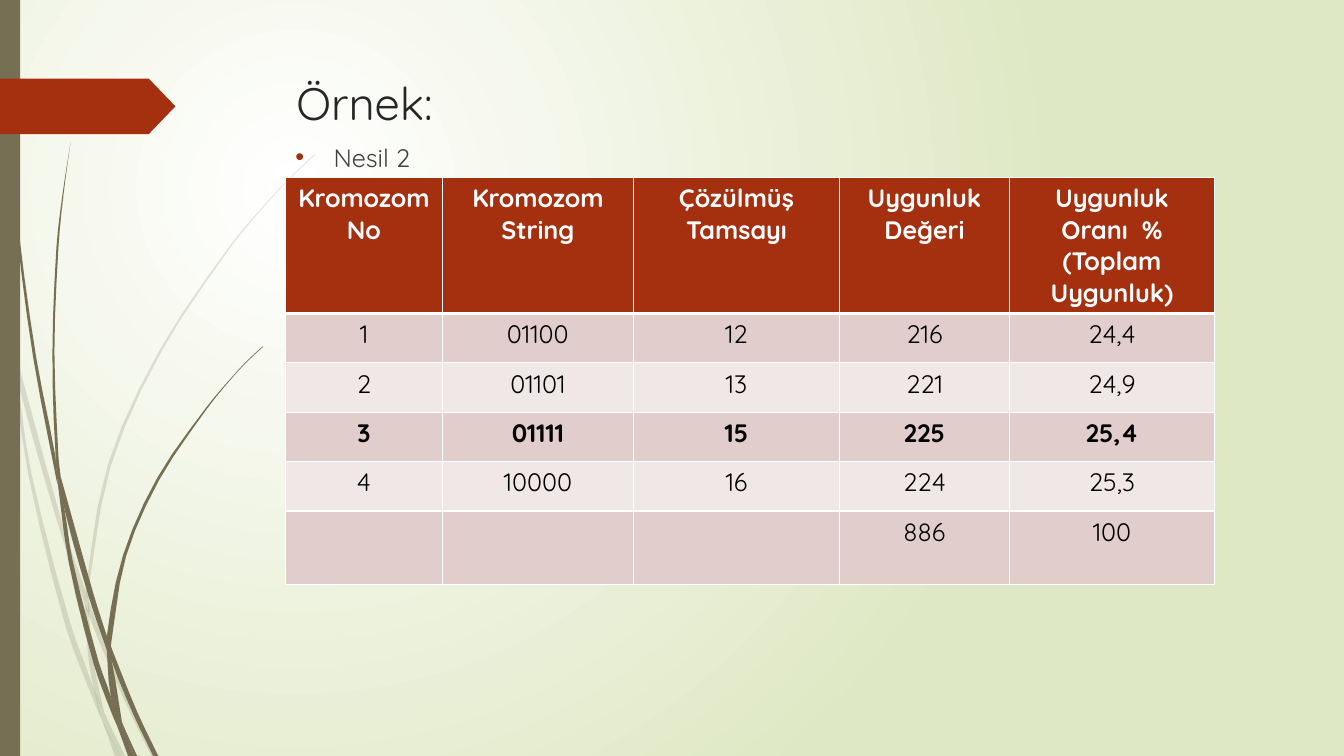
from lxml import etree
from pptx import Presentation
from pptx.dml.color import RGBColor
from pptx.enum.shapes import MSO_SHAPE
from pptx.enum.text import MSO_ANCHOR, PP_ALIGN
from pptx.oxml.ns import qn
from pptx.util import Inches, Pt

RECT, TAG = MSO_SHAPE.RECTANGLE, MSO_SHAPE.PENTAGON
MIDDLE, TOP = MSO_ANCHOR.MIDDLE, MSO_ANCHOR.TOP
LEFT, CENTER, JUSTIFY = PP_ALIGN.LEFT, PP_ALIGN.CENTER, PP_ALIGN.JUSTIFY

TITLE = "Örnek:"
BULLET = "Nesil 2"
HEADER = ["Kromozom No", "Kromozom String", "Çözülmüş Tamsayı",
          "Uygunluk Değeri", "Uygunluk Oranı  % (Toplam Uygunluk)"]
ROWS = [
    ["1", "01100", "12", "216", "24,4"],
    ["2", "01101", "13", "221", "24,9"],
    ["3", "01111", "15", "225", "25,4"],
    ["4", "10000", "16", "224", "25,3"],
    ["", "", "", "886", "100"],
]
BEST_ROW = 3
COL_WIDTHS = [1.56, 1.89, 2.05, 1.68, 2.04]
ROW_HEIGHTS = [1.35] + [0.49] * 4 + [0.73]

# Pieces of grass: (left edge, right edge), each listed from top to bottom
PALE_GRASS = [
    ([(0, 2.99), (0.1, 3.44), (0.11, 3.5)], [(0, 2.82), (0.09, 3.22), (0.11, 3.5)]),
    ([(0.14, 3.45), (0.17, 3.76), (0.58, 5.22), (0.84, 5.99)],
     [(0.14, 3.45), (0.62, 5.2), (0.85, 5.86)]),
    ([(0.88, 5.96), (0.88, 6.1), (1.23, 6.94), (1.5, 7.5)],
     [(0.88, 5.96), (0.92, 6.07), (1.27, 6.92), (1.55, 7.5)]),
    ([(1.05, 7.11), (1.19, 7.5)], [(1.05, 7.11), (1.24, 7.5)]),
    ([(0.11, 3.5), (0.28, 4.7), (0.65, 6.21), (0.92, 6.93), (1.01, 7.14)],
     [(0.11, 3.5), (0.17, 3.76), (0.31, 4.69), (0.7, 6.19), (0.93, 6.83), (1.01, 7.14)]),
    ([(0.84, 5.99), (0.87, 6.46), (0.93, 6.83), (1.05, 7.11)],
     [(0.84, 5.99), (0.88, 6.08), (0.91, 6.46), (1.03, 7.06), (1.05, 7.11)]),
    ([(3.12, 1.53), (2.89, 1.75), (2.68, 1.97), (2.28, 2.44), (1.58, 3.48), (1.07, 4.61),
      (0.85, 5.86), (0.88, 5.96)],
     [(3.12, 1.54), (2.9, 1.75), (2.68, 1.98), (2.29, 2.45), (1.6, 3.49), (1.1, 4.62),
      (0.88, 5.84), (0.88, 5.96)]),
    ([(1.01, 7.14), (1.14, 7.5)], [(1.01, 7.14), (1.19, 7.5)]),
    ([(0.85, 5.86), (0.84, 5.99), (0.88, 6.1)], [(0.85, 5.86), (0.88, 5.96), (0.88, 6.1)]),
    ([(0.93, 6.83), (1.01, 7.14), (1.19, 7.5)], [(0.93, 6.83), (1.05, 7.11), (1.19, 7.5)]),
]
DARK_GRASS = [
    ([(0.03, 0), (0.04, 0.48), (0.07, 1.1), (0.17, 2.33), (0.33, 3.55), (0.57, 4.81)],
     [(0.04, 0), (0.05, 0.48), (0.08, 1.09), (0.19, 2.32), (0.36, 3.55), (0.55, 4.53),
      (0.57, 4.81)]),
    ([(0.6, 4.72), (0.64, 5.05), (0.88, 5.92), (1.06, 6.45)],
     [(0.6, 4.72), (0.93, 5.9), (1.06, 6.31)]),
    ([(1.1, 6.41), (1.11, 6.56), (1.32, 7.08), (1.52, 7.5)],
     [(1.1, 6.41), (1.13, 6.49), (1.36, 7.06), (1.57, 7.5)]),
    ([(0.57, 4.77), (0.68, 5.57), (0.93, 6.59), (1.11, 7.08), (1.17, 7.22)],
     [(0.57, 4.77), (0.64, 5.05), (0.72, 5.56), (0.98, 6.57), (1.1, 6.91), (1.17, 7.22)]),
    ([(0.7, 1.41), (0.62, 1.93), (0.56, 2.45), (0.52, 3.49), (0.55, 4.49), (0.6, 4.72)],
     [(0.7, 1.41), (0.63, 1.93), (0.58, 2.45), (0.54, 3.49), (0.58, 4.53), (0.6, 4.72)]),
    ([(1.22, 7.19), (1.33, 7.5)], [(1.22, 7.19), (1.36, 7.5)]),
    ([(0.55, 4.49), (0.57, 4.77), (0.64, 5.05)], [(0.55, 4.49), (0.6, 4.72), (0.64, 5.05)]),
    ([(2.6, 3.44), (2.45, 3.58), (2.31, 3.73), (2.04, 4.05), (1.56, 4.74), (1.22, 5.51),
      (1.06, 6.31), (1.1, 6.41)],
     [(2.61, 3.44), (2.45, 3.59), (2.31, 3.74), (2.05, 4.06), (1.58, 4.76), (1.25, 5.52),
      (1.11, 6.33), (1.1, 6.41)]),
    ([(1.17, 7.22), (1.27, 7.5)], [(1.17, 7.22), (1.31, 7.5)]),
    ([(1.06, 6.45), (1.1, 6.91), (1.22, 7.19)],
     [(1.06, 6.45), (1.11, 6.56), (1.21, 7.16), (1.22, 7.19)]),
    ([(1.06, 6.31), (1.06, 6.45), (1.11, 6.56)], [(1.06, 6.31), (1.1, 6.41), (1.11, 6.56)]),
    ([(1.1, 6.91), (1.17, 7.22), (1.3, 7.5)], [(1.1, 6.91), (1.22, 7.19), (1.33, 7.5)]),
]

THEME = {
    "font": "Quicksand", "title_pt": 32.4, "body_pt": 18,
    "title": "262626", "body": "404040", "cell": "000000", "white": "FFFFFF",
    "accent": "A53010", "olive": "766F54", "glow": "DFE8C4",
    "bands": ["E1CDCC", "F0E8E7"],
}


def rgb(code):
    return RGBColor.from_string(code)


def sub(parent, tag, **attrs):
    return etree.SubElement(parent, qn(tag), attrs)


def paint(sp, color, alpha=None):
    sp.shadow.inherit = False
    sp.fill.solid()
    sp.fill.fore_color.rgb = rgb(color)
    sp.line.fill.background()
    if alpha:
        clr = sp._element.spPr.find(qn("a:solidFill")).find(qn("a:srgbClr"))
        sub(clr, "a:alpha", val=str(alpha * 1000))


def smooth(points, steps=3):
    """Cubic Hermite curve through the points, with x as a function of y."""
    last = len(points) - 1
    slopes = []
    for i in range(last + 1):
        (xa, ya), (xb, yb) = points[max(i - 1, 0)], points[min(i + 1, last)]
        slopes.append((xb - xa) / (yb - ya))
    curve = [points[0]]
    for i in range(last):
        (x0, y0), (x1, y1) = points[i], points[i + 1]
        h = y1 - y0
        for k in range(1, steps + 1):
            t = k / steps
            x = ((2 * t**3 - 3 * t**2 + 1) * x0 + (t**3 - 2 * t**2 + t) * h * slopes[i]
                 + (3 * t**2 - 2 * t**3) * x1 + (t**3 - t**2) * h * slopes[i + 1])
            curve.append((x, y0 + t * h))
    return curve


def add_grass(s, pieces, alpha=None):
    for edges in pieces:
        left, right = (smooth(edge) for edge in edges)
        outline = [(Inches(x), Inches(y)) for x, y in left + right[::-1]]
        fb = s.shapes.build_freeform(*outline[0])
        fb.add_line_segments(outline[1:], close=True)
        paint(fb.convert_to_shape(), THEME["olive"], alpha)


def add_run(p, text, size, color, bold=False):
    r = p.add_run()
    r.text = text
    r.font.name, r.font.size, r.font.bold = THEME["font"], Pt(size), bold
    r.font.color.rgb = rgb(color)


def add_text(s, box, text, size, color, align, anchor):
    tf = s.shapes.add_textbox(*map(Inches, box)).text_frame
    tf.word_wrap = True
    tf.vertical_anchor = anchor
    p = tf.paragraphs[0]
    p.alignment = align
    add_run(p, text, size, color)
    return p


def add_bullet(p):
    pPr = p._p.get_or_add_pPr()
    pPr.set("marL", str(Inches(0.38)))
    pPr.set("indent", str(-Inches(0.38)))
    sub(sub(pPr, "a:buClr"), "a:srgbClr", val=THEME["accent"])
    sub(pPr, "a:buFont", typeface="Arial")
    sub(pPr, "a:buChar", char="•")


def set_borders(cell, widths):
    tcPr = cell._tc.get_or_add_tcPr()
    for side, width in zip("LRTB", widths):
        ln = sub(tcPr, f"a:ln{side}", w=str(Pt(width)))
        sub(sub(ln, "a:solidFill"), "a:srgbClr", val=THEME["white"])


def add_fitness_table(s):
    frame = s.shapes.add_table(len(ROW_HEIGHTS), len(COL_WIDTHS), Inches(2.83), Inches(1.76),
                               Inches(sum(COL_WIDTHS)), Inches(sum(ROW_HEIGHTS)))
    table = frame.table
    table.horz_banding = table.first_row = False
    for col, width in zip(table.columns, COL_WIDTHS):
        col.width = Inches(width)
    for row, height in zip(table.rows, ROW_HEIGHTS):
        row.height = Inches(height)
    for i, values in enumerate([HEADER] + ROWS):
        head = i == 0
        fill = THEME["accent"] if head else THEME["bands"][(i - 1) % 2]
        color = THEME["white"] if head else THEME["cell"]
        for j, text in enumerate(values):
            cell = table.cell(i, j)
            set_borders(cell, (1, 1, 3 if i == 1 else 1, 3 if head else 1))
            cell.fill.solid()
            cell.fill.fore_color.rgb = rgb(fill)
            p = cell.text_frame.paragraphs[0]
            p.alignment = CENTER
            if text:
                add_run(p, text, THEME["body_pt"], color, head or i == BEST_ROW)


def set_background(s):
    """Radial glow centred in the upper left part of the slide."""
    fill = s.background.fill
    fill.gradient()
    for stop, color in zip(fill.gradient_stops, (THEME["white"], THEME["glow"])):
        stop.color.rgb = rgb(color)
    grad = s.element.find(".//" + qn("a:gradFill"))
    circle = etree.Element(qn("a:path"), {"path": "circle"})
    sub(circle, "a:fillToRect", l="22000", t="25000", r="78000", b="75000")
    grad.replace(grad.find(qn("a:lin")), circle)


def main():
    prs = Presentation()
    prs.slide_width, prs.slide_height = Inches(13.33), Inches(7.5)
    s = prs.slides.add_slide(prs.slide_layouts[6])
    set_background(s)
    add_grass(s, PALE_GRASS, alpha=20)
    add_grass(s, DARK_GRASS)
    paint(s.shapes.add_shape(RECT, 0, 0, Inches(0.2), prs.slide_height), THEME["olive"])
    tag = s.shapes.add_shape(TAG, 0, Inches(0.78), Inches(1.74), Inches(0.55))
    tag.adjustments[0] = 0.48
    paint(tag, THEME["accent"])
    add_text(s, (2.84, 0.68, 9.75, 0.68), TITLE, THEME["title_pt"], THEME["title"], LEFT, MIDDLE)
    add_bullet(add_text(s, (2.83, 1.36, 9.75, 5.09), BULLET, THEME["body_pt"],
                        THEME["body"], JUSTIFY, TOP))
    add_fitness_table(s)
    prs.save("out.pptx")


if __name__ == "__main__":
    main()
